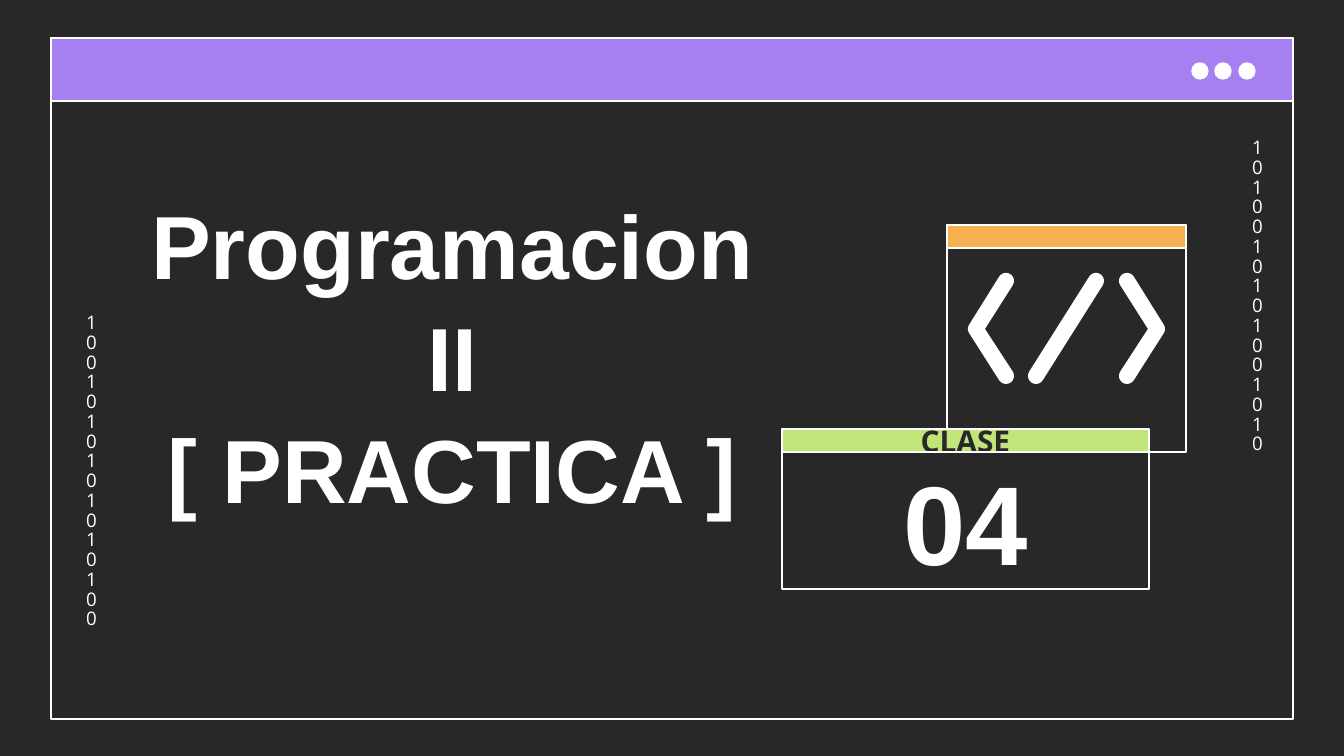
from math import cos, radians, sin

from pptx import Presentation
from pptx.dml.color import RGBColor
from pptx.enum.shapes import MSO_SHAPE as Shape
from pptx.enum.text import MSO_ANCHOR as Anchor, MSO_AUTO_SIZE as AutoSize, PP_ALIGN as Align
from pptx.util import Pt

PX = 9144000 / 1344
DARK = RGBColor(0x29, 0x28, 0x28)
WHITE = RGBColor(0xFF, 0xFF, 0xFF)
PURPLE = RGBColor(0xA6, 0x7F, 0xF1)
ORANGE = RGBColor(0xF5, 0xB1, 0x50)
GREEN = RGBColor(0xC0, 0xE6, 0x7A)

presentation = Presentation()
presentation.slide_width = round(1344 * PX)
presentation.slide_height = round(756 * PX)
slide = presentation.slides.add_slide(presentation.slide_layouts[0])
slide.background.fill.solid()
slide.background.fill.fore_color.rgb = DARK
subtitle = slide.placeholders[1].element
subtitle.getparent().remove(subtitle)


def add_panel(kind, box, fill=None):
    """Add a white-outlined shape; box is left, top, width, height in px."""
    shape = slide.shapes.add_shape(kind, *(round(v * PX) for v in box))
    shape.shadow.inherit = False
    if fill is None:
        shape.fill.background()
    else:
        shape.fill.solid()
        shape.fill.fore_color.rgb = fill
    shape.line.color.rgb = WHITE
    shape.line.width = Pt(0.75)
    return shape


def write(shape, lines, font, size, color, bold=True, anchor=Anchor.MIDDLE):
    """Write centred lines, parted by line breaks, into one paragraph."""
    frame = shape.text_frame
    frame.word_wrap = True
    frame.auto_size = AutoSize.NONE
    frame.vertical_anchor = anchor
    frame.margin_left = frame.margin_right = round(13 * PX)
    frame.margin_top = frame.margin_bottom = round(13 * PX)
    paragraph = frame.paragraphs[0]
    paragraph.alignment = Align.CENTER
    for index, line in enumerate(lines):
        if index:
            paragraph.add_line_break()
        run = paragraph.add_run()
        run.text = line
        run.font.name = font
        run.font.size = Pt(size)
        run.font.bold = bold
        run.font.color.rgb = color
    return paragraph


# Window frame with its title bar and three dots
add_panel(Shape.RECTANGLE, (51, 38, 1242, 681))
add_panel(Shape.RECTANGLE, (51, 38, 1242, 63), PURPLE)
for index in range(3):
    add_panel(Shape.OVAL, (1192 + index * 47 // 2, 63, 16, 16), WHITE)

# Columns of binary digits, one digit per line
for left, top, digits in ((1239, 126, "1010010101001010"), (73, 301, "1001010101010100")):
    column = slide.shapes.add_textbox(*(round(v * PX) for v in (left, top, 32, 376)))
    write(column, [digits], "Open Sans", 10, WHITE, False, Anchor.TOP).line_spacing = 0.88

# Title
title = slide.shapes.title
title.left, title.top, title.width, title.height = (round(v * PX) for v in (124, 168, 657, 454))
heading = write(title, ["Programacion II", "[ PRACTICA ]"], "Arial", 48, WHITE, anchor=Anchor.TOP)
heading.line_spacing = 1.04
title.text_frame.margin_top = round(18 * PX)

# Code window
add_panel(Shape.RECTANGLE, (947, 225, 239, 227))
add_panel(Shape.RECTANGLE, (947, 225, 239, 23), ORANGE)

# Code symbol: arcs (centre x, centre y, start, end degrees) joined by straight edges
RADIUS = 8
INNER_CORNER = (985, 329, 0, 0)
chevron = [(1006, 281, -148, 32), INNER_CORNER, (1006, 376, -32, 148), (976, 329, 148, 212)]
slash = [(1096, 281, -148, 32), (1036, 376, 32, 212)]
contours = []
for arcs in (chevron, slash):
    points = []
    for arc in arcs:
        x, y, start, end = arc
        if arc == INNER_CORNER:
            points.append((x, y))
            continue
        for step in range(13):
            angle = radians(start + (end - start) * step / 12)
            points.append((x + RADIUS * cos(angle), y + RADIUS * sin(angle)))
    contours.append(points)
contours.append([(2133 - x, y) for x, y in contours[0]])

builder = None
for points in contours:
    first, *rest = [(round(x * PX), round(y * PX)) for x, y in points]
    if builder is None:
        builder = slide.shapes.build_freeform(*first)
    else:
        builder.move_to(*first)
    builder.add_line_segments(rest, close=True)
symbol = builder.convert_to_shape()
symbol.shadow.inherit = False
symbol.fill.solid()
symbol.fill.fore_color.rgb = WHITE
symbol.line.fill.background()

# Class number card
write(add_panel(Shape.RECTANGLE, (782, 429, 367, 23), GREEN), ["CLASE"], "Open Sans", 16, DARK)
write(add_panel(Shape.RECTANGLE, (782, 452, 367, 137)), ["04"], "Arial", 60, WHITE)

presentation.save("out.pptx")
